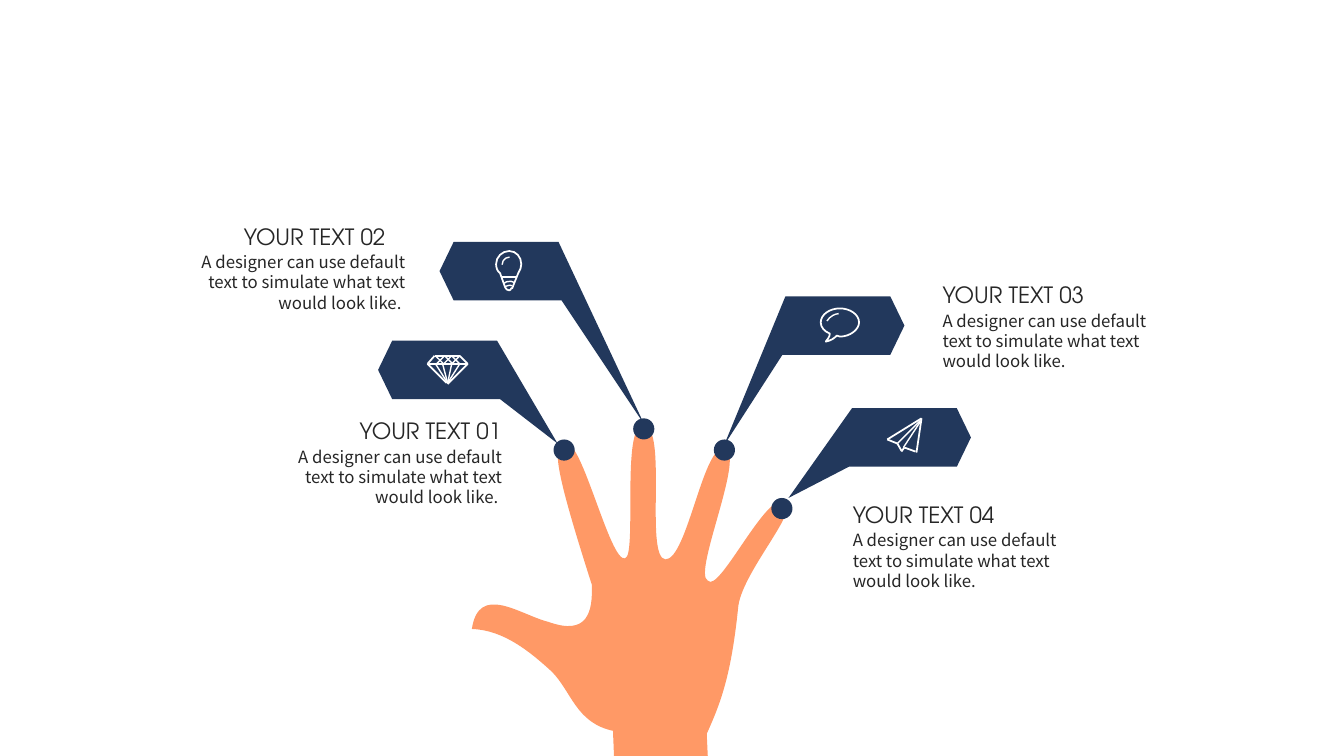
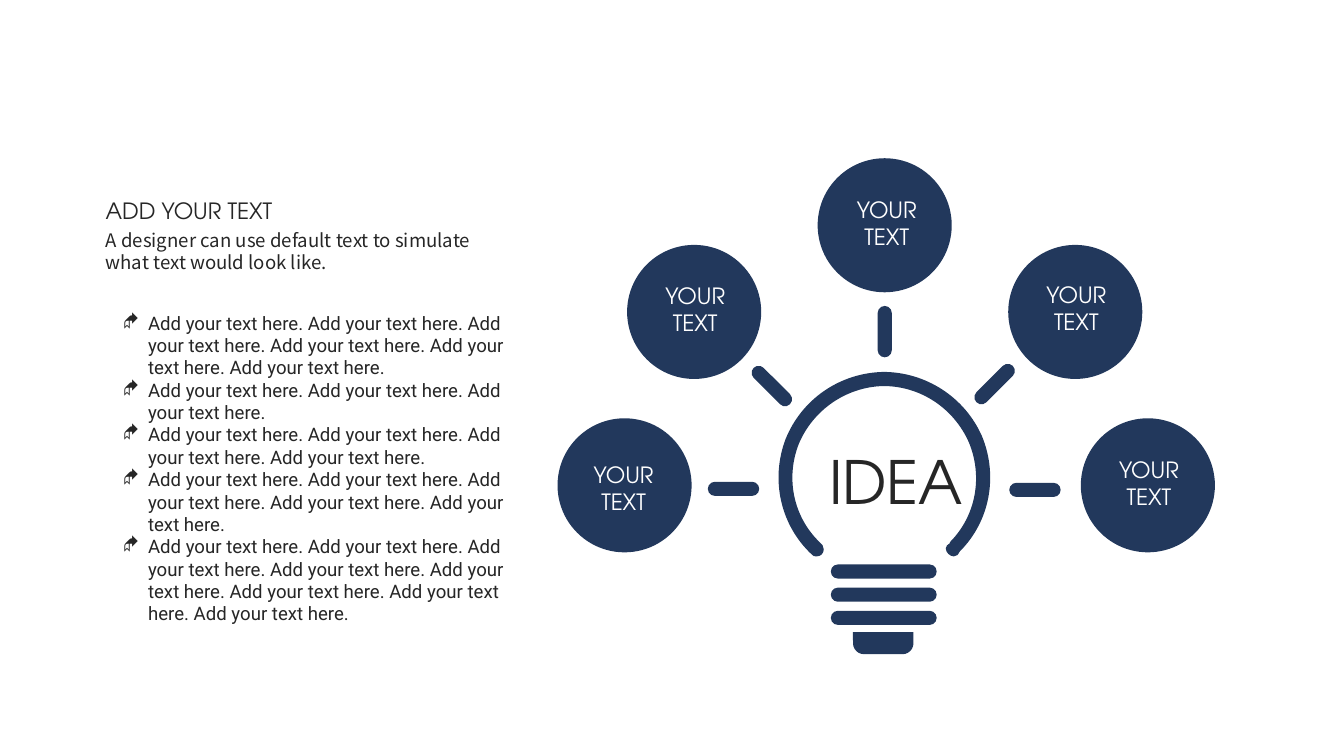
import lxml.etree
import pptx
import pptx.dml.color
import pptx.enum.shapes
import pptx.enum.text
import pptx.oxml.ns
import pptx.util

Inches, Pt = pptx.util.Inches, pptx.util.Pt
RGB = pptx.dml.color.RGBColor.from_string
SHAPE = pptx.enum.shapes.MSO_SHAPE
ALIGN = pptx.enum.text.PP_ALIGN
qn = pptx.oxml.ns.qn

COLORS = {"navy": "22385C", "skin": "FF9966", "text": "262626", "white": "FFFFFF"}
HEAD, BODY, LIST = "TeX Gyre Adventor", "Noto Sans CJK SC", "Roboto"


def add_text(s, box, text, font=HEAD, size=16, color="text", align=ALIGN.LEFT,
             leading=None, bullet=None, wrap=True):
    """Add a text box; each line of text becomes a paragraph."""
    tf = s.shapes.add_textbox(*map(Inches, box)).text_frame
    tf.word_wrap = wrap
    for i, line in enumerate(text.split("\n")):
        p = tf.paragraphs[0] if i == 0 else tf.add_paragraph()
        p.alignment = align
        if leading:
            p.line_spacing = Pt(round(leading * size, 1))
        if bullet:
            pPr = p._p.get_or_add_pPr()
            pPr.set("marL", str(Inches(0.25)))
            pPr.set("indent", str(-Inches(0.25)))
            bu_font = lxml.etree.SubElement(pPr, qn("a:buFont"))
            bu_font.set("typeface", "Wingdings")
            bu_font.set("charset", "2")
            lxml.etree.SubElement(pPr, qn("a:buChar")).set("char", bullet)
        r = p.add_run()
        r.text = line
        r.font.name, r.font.size = font, Pt(size)
        r.font.color.rgb = RGB(COLORS[color])


def add_form(shapes, form, box=None, fill=None, line=None, width=1.25, rot=0, adj=()):
    """Add a preset shape, or an outline of points (x, y) and cubic curves (6 numbers)."""
    if isinstance(form, list):
        ends = [(Inches(step[-2]), Inches(step[-1])) for step in form]
        builder = shapes.build_freeform(*ends[0], scale=1.0)
        builder.add_line_segments(ends[1:], close=True)
        sp = builder.convert_to_shape()
        left, top = min(x for x, y in ends), min(y for x, y in ends)
        segments = list(sp._element.iter(qn("a:lnTo")))
        for step, segment in zip(form[1:], segments):
            if len(step) == 6:
                curve = lxml.etree.Element(qn("a:cubicBezTo"))
                for x, y in zip(step[::2], step[1::2]):
                    pt = lxml.etree.SubElement(curve, qn("a:pt"))
                    pt.set("x", str(Inches(x) - left))
                    pt.set("y", str(Inches(y) - top))
                segment.getparent().replace(segment, curve)
    else:
        sp = shapes.add_shape(form, *map(Inches, box))
        for i, value in enumerate(adj):
            sp.adjustments[i] = value
    sp.shadow.inherit = False
    sp.rotation = rot
    if fill:
        sp.fill.solid()
        sp.fill.fore_color.rgb = RGB(COLORS[fill])
    else:
        sp.fill.background()
    if line:
        sp.line.color.rgb = RGB(COLORS[line])
        sp.line.width = Pt(width)
    else:
        sp.line.fill.background()


prs = pptx.Presentation()
prs.slide_width, prs.slide_height = Inches(13.33), Inches(7.5)
blank = prs.slide_layouts[6]

# Slide 1: hand with four labelled fingers
s = prs.slides.add_slide(blank)
hand = [
    (6.09, 7.5), (6.08, 7.25),
    (5.71, 7.17, 5.67, 6.86, 5.47, 6.66), (5.26, 6.47, 5, 6.25, 4.68, 6.24),
    (4.75, 5.78, 5.16, 6.1, 5.44, 6.17), (5.83, 6.31, 5.88, 6.07, 5.87, 5.8),
    (5.45, 4.49, 5.5, 4.44, 5.61, 4.4), (5.77, 4.35, 6.05, 5.58, 6.2, 5.54),
    (6.32, 5.51, 6.16, 4.21, 6.38, 4.22), (6.63, 4.22, 6.39, 5.53, 6.6, 5.55),
    (6.82, 5.55, 6.98, 4.36, 7.2, 4.45), (7.38, 4.55, 6.87, 5.69, 7.02, 5.76),
    (7.13, 5.9, 7.61, 4.85, 7.79, 4.98), (7.93, 5.07, 7.34, 5.7, 7.32, 6.04),
    (7.25, 6.72, 7.14, 6.99, 7.01, 7.28), (7.02, 7.5),
]
add_form(s.shapes, hand, fill="skin")

# Pointers: finger tip, inner top corner, direction of the flag
for tip, x, y, way in [((5.53, 4.4), 4.93, 3.38, -1), ((6.39, 4.21), 5.54, 2.4, -1),
                       ((7.18, 4.42), 7.79, 2.94, 1), ((7.82, 4.94), 8.45, 4.05, 1)]:
    flag = [tip, (x, y), (x + way * 1.04, y), (x + way * 1.18, y + 0.29),
            (x + way * 1.04, y + 0.58), (x - way * 0.03, y + 0.58)]
    add_form(s.shapes, flag, fill="navy")

# Finger dots
for x, y in [(5.49, 4.36), (6.28, 4.15), (7.08, 4.36), (7.65, 4.94)]:
    add_form(s.shapes, SHAPE.OVAL, (x, y, 0.21, 0.21), fill="navy")

# Labels: heading corner, body left, alignments
sample = "A designer can use default text to simulate what text would look like."
labels = [(3.28, 4.09, 2.85, ALIGN.RIGHT, ALIGN.RIGHT), (2.32, 2.16, 1.89, ALIGN.LEFT, ALIGN.RIGHT),
          (9.25, 2.74, 9.25, ALIGN.LEFT, ALIGN.LEFT), (8.36, 4.92, 8.36, ALIGN.LEFT, ALIGN.LEFT)]
for i, (head_x, y, body_x, head_align, body_align) in enumerate(labels, 1):
    add_text(s, (head_x, y, 1.79, 0.37), f"YOUR TEXT {i:02}", align=head_align)
    ending = " " if body_align == ALIGN.RIGHT else ""
    add_text(s, (body_x, y + 0.29, 2.23, 0.71), sample + ending, font=BODY, size=12,
             align=body_align, leading=1.2)

# Icons: one group each
bubble, diamond, plane, bulb = (s.shapes.add_group_shape() for _ in range(4))
add_form(bubble.shapes, [
    (8.33, 3.06), (8.43, 3.06, 8.52, 3.12, 8.52, 3.2), (8.52, 3.27, 8.43, 3.34, 8.33, 3.34),
    (8.3, 3.33), (8.27, 3.36, 8.24, 3.38, 8.19, 3.39), (8.2, 3.37, 8.23, 3.35, 8.23, 3.31),
    (8.18, 3.29, 8.14, 3.25, 8.14, 3.2), (8.14, 3.12, 8.23, 3.06, 8.33, 3.06),
], line="white")
add_form(bulb.shapes, [
    (5.05, 2.49), (5.12, 2.49, 5.17, 2.55, 5.17, 2.62), (5.17, 2.65, 5.16, 2.68, 5.14, 2.71),
    (5.08, 2.86), (5.07, 2.86), (5.07, 2.87, 5.06, 2.88, 5.05, 2.88),
    (5.03, 2.88, 5.02, 2.87, 5.01, 2.85), (4.96, 2.71),
    (4.93, 2.69, 4.92, 2.65, 4.92, 2.62), (4.92, 2.55, 4.98, 2.49, 5.05, 2.49),
], line="white")
for icon, x, y, size, rot, adj in [
        (bubble, 8.18, 3.11, 0.31, 301.2, (162, 193.58)),
        (bulb, 4.98, 2.55, 0.15, 270, (162, 215.5)),
        (bulb, 4.97, 2.79, 0.17, 309, (168.25, 210.6)),
        (bulb, 4.98, 2.83, 0.15, 300, (175.25, 210.13))]:
    add_form(icon.shapes, SHAPE.ARC, (x, y, size, size), line="white", width=1, rot=rot, adj=adj)

strokes = [
    (diamond, 1.25, [(4.31, 3.53, 4.56, 3.53), (4.56, 3.53, 4.64, 3.61), (4.64, 3.61, 4.44, 3.81),
                     (4.43, 3.8, 4.24, 3.61), (4.31, 3.53, 4.24, 3.61)]),
    (diamond, 1, [(4.25, 3.61, 4.63, 3.61)]),
    (diamond, 1, [(4.44, 3.8, x, 3.61) for x in (4.32, 4.39, 4.48, 4.56)]),
    (diamond, 1, [(x, 3.53, x + 0.08, 3.61) for x in (4.32, 4.41, 4.48)]),
    (diamond, 1, [(x, 3.53, x - 0.08, 3.61) for x in (4.41, 4.48, 4.56)]),
    (plane, 1.25, [(9.14, 4.15, 8.8, 4.36), (8.8, 4.36, 8.9, 4.4), (8.9, 4.4, 8.94, 4.47),
                   (8.94, 4.48, 8.97, 4.44), (8.97, 4.44, 9.08, 4.48), (9.14, 4.15, 9.09, 4.49)]),
    (plane, 1, [(9.13, 4.17, 8.9, 4.4), (9.13, 4.18, 8.96, 4.44)]),
    (bulb, 1.25, [(4.97, 2.75, 5.12, 2.75)]),
]
for icon, width, lines in strokes:
    for ends in lines:
        c = icon.shapes.add_connector(pptx.enum.shapes.MSO_CONNECTOR.STRAIGHT, *map(Inches, ends))
        c.line.color.rgb = RGB(COLORS["white"])
        c.line.width = Pt(width)
        lxml.etree.SubElement(c._element.spPr, qn("a:effectLst"))

# Slide 2: light bulb with five ideas
s = prs.slides.add_slide(blank)
ideas = [(5.53, 4.15, 5.76, 4.53), (6.22, 2.43, 6.47, 2.75), (8.11, 1.57, 8.37, 1.9),
         (10, 2.43, 10.25, 2.74), (10.72, 4.15, 10.97, 4.48)]
for x, y, text_x, text_y in ideas:
    add_form(s.shapes, SHAPE.OVAL, (x, y, 1.33, 1.33), fill="navy")
    add_text(s, (text_x, text_y, 0.85, 0.64), "YOUR\nTEXT", color="white",
             align=ALIGN.CENTER, wrap=False)

# Bulb base and rays
bars = [(8.24, 5.6 + 0.23 * i, 1.05, 0) for i in range(3)]
rays = [(7.02, 4.78, 0.51, 0), (7.4, 3.76, 0.51, 45), (8.52, 3.22, 0.51, 90),
        (9.61, 3.74, 0.51, 315), (10.01, 4.79, 0.51, 0)]
for x, y, w, rot in bars + rays:
    add_form(s.shapes, SHAPE.ROUNDED_RECTANGLE, (x, y, w, 0.14), fill="navy", rot=rot, adj=(0.5,))
add_form(s.shapes, SHAPE.ROUND_2_SAME_RECTANGLE, (8.46, 6.27, 0.6, 0.22), fill="navy",
         rot=180, adj=(0.5, 0))

# Bulb glass
add_form(s.shapes, [
    (8.76, 3.69), (9.18, 3.69, 9.57, 3.94, 9.74, 4.33), (9.9, 4.72, 9.82, 5.17, 9.52, 5.47),
    (9.51, 5.5, 9.49, 5.52, 9.46, 5.52), (9.42, 5.52, 9.38, 5.48, 9.38, 5.44),
    (9.38, 5.42, 9.4, 5.4, 9.42, 5.39), (9.42, 5.38),
    (9.68, 5.12, 9.75, 4.73, 9.61, 4.39), (9.46, 4.05, 9.13, 3.83, 8.76, 3.83),
    (8.39, 3.84, 8.06, 4.07, 7.92, 4.41), (7.79, 4.75, 7.87, 5.13, 8.13, 5.38),
    (8.15, 5.39, 8.17, 5.42, 8.17, 5.45), (8.17, 5.49, 8.14, 5.52, 8.1, 5.52),
    (8.08, 5.52, 8.06, 5.52, 8.05, 5.5), (7.74, 5.21, 7.64, 4.76, 7.79, 4.36),
    (7.95, 3.96, 8.33, 3.7, 8.76, 3.69),
], fill="navy")
add_text(s, (7.99, 4.36, 1.66, 0.82), "IDEA", size=42.6, align=ALIGN.RIGHT)

# Text column; each number counts the sentences of one bullet
add_text(s, (0.95, 1.91, 2.28, 0.37), "ADD YOUR TEXT")
add_text(s, (0.95, 2.22, 4.11, 0.55), sample, font=BODY, size=13.3, leading=1.2)
bullets = "\n".join(" ".join(["Add your text here."] * n) for n in (6, 3, 4, 5, 8))
add_text(s, (1.12, 3.04, 4.11, 3.24), bullets, font=LIST, size=13.3, leading=1.2, bullet="◆")

prs.save("out.pptx")
